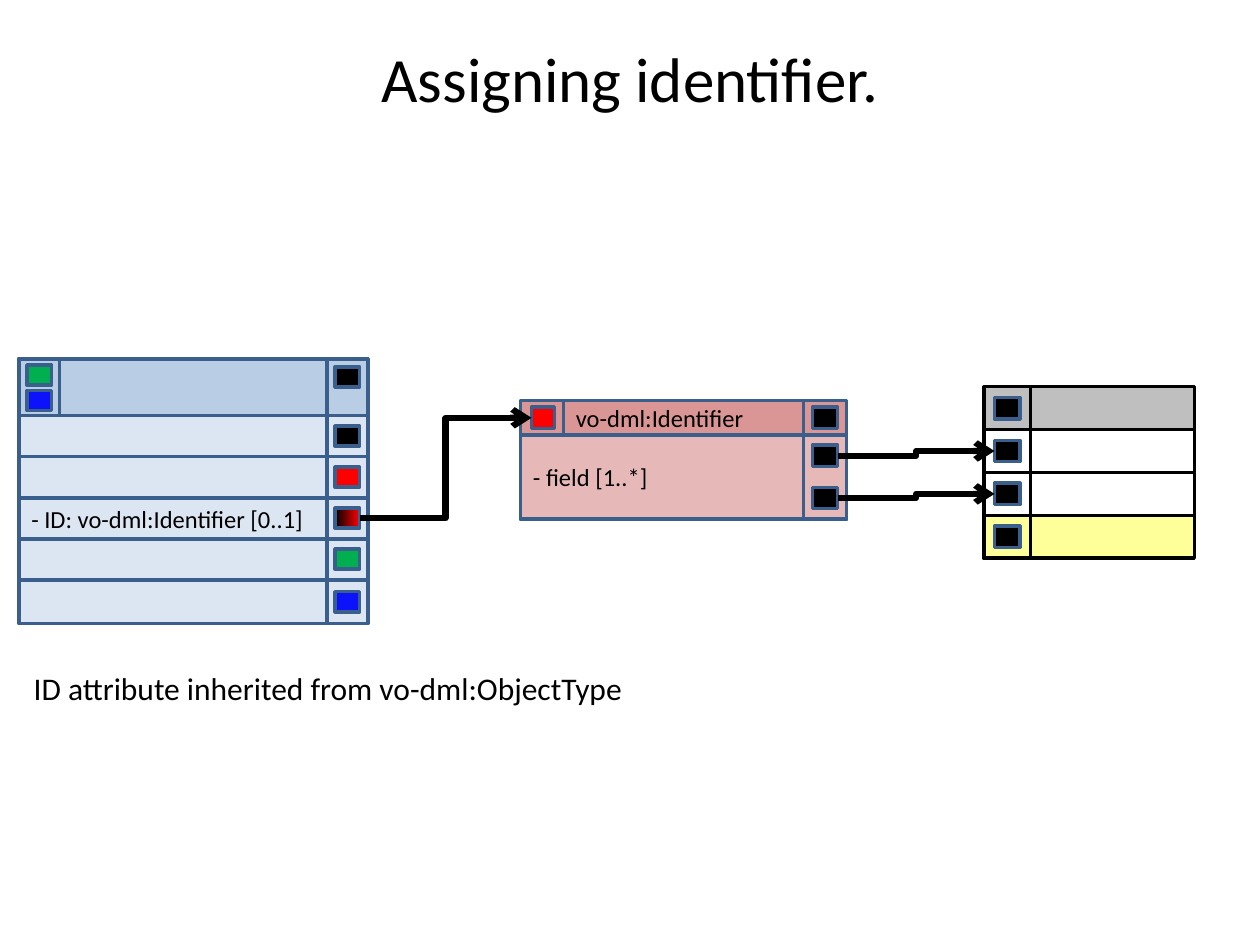
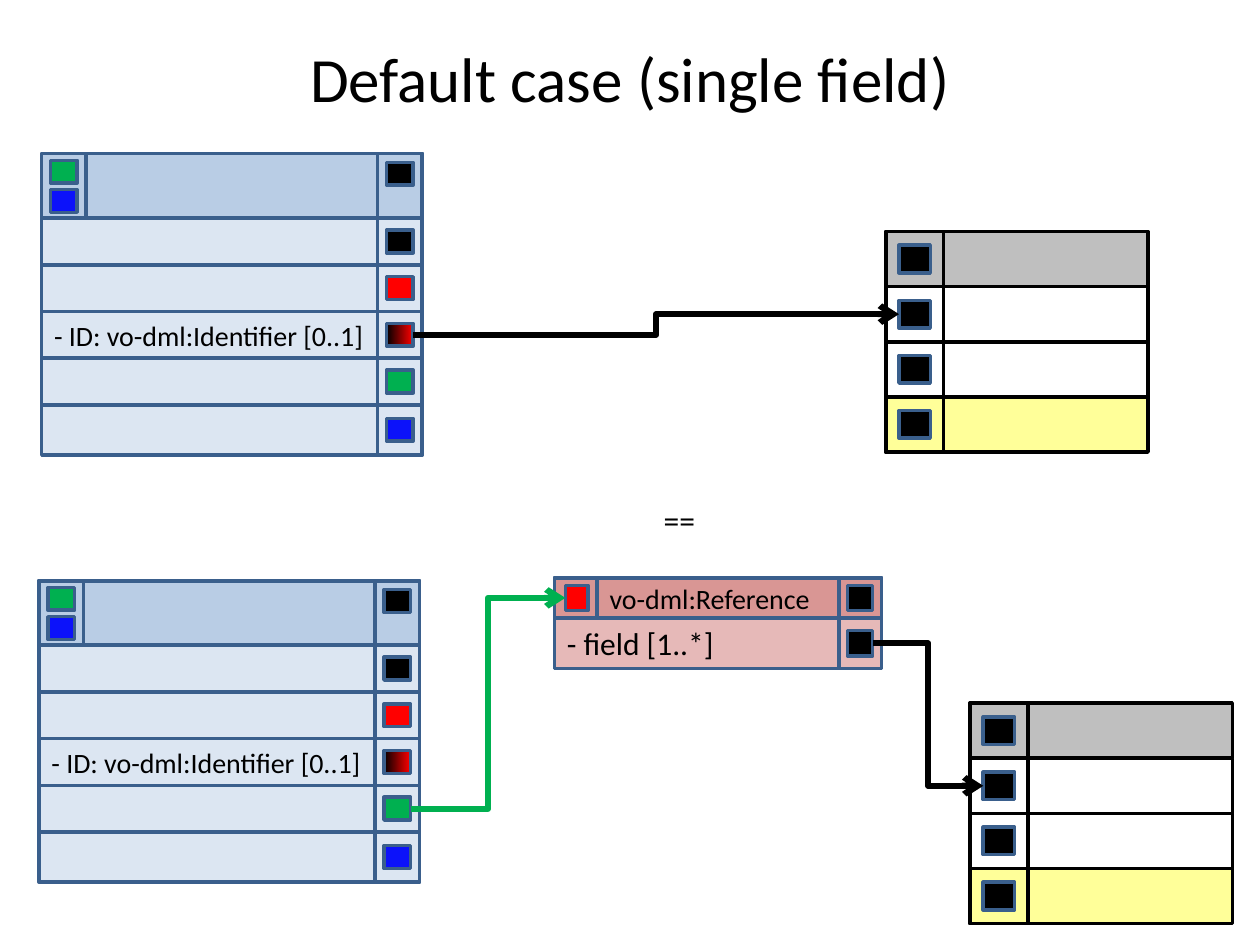
from collections import namedtuple
from dataclasses import dataclass

from lxml.etree import SubElement
from pptx import Presentation
from pptx.dml.color import RGBColor
from pptx.enum.shapes import MSO_CONNECTOR, MSO_SHAPE
from pptx.enum.text import MSO_ANCHOR, MSO_AUTO_SIZE, PP_ALIGN
from pptx.oxml.ns import qn
from pptx.util import Pt

Box = namedtuple("Box", "x y w h")
LEFT, RIGHT = 1, 3  # connection sites of a rectangle


@dataclass(frozen=True)
class Theme:
    font: str = "Calibri"
    title_size: int = 36
    note_size: int = 18
    black: str = "000000"
    red: str = "FF0000"
    green: str = "00B050"
    blue: str = "0C12FA"
    edge: str = "3A5F8C"
    object_head: str = "B9CDE5"
    object_body: str = "DCE6F2"
    mapping_head: str = "D99694"
    mapping_body: str = "E6B9B8"
    table_head: str = "BFBFBF"
    table_foot: str = "FFFF99"
    edge_width: float = 2
    arrow_width: float = 3.5


T = Theme()


def rgb(color):
    return RGBColor.from_string(color)


def style_text(tf, text, size, align=PP_ALIGN.LEFT):
    p = tf.paragraphs[0]
    p.text = text
    p.alignment = align
    p.font.name = T.font
    p.font.size = Pt(size)
    p.font.color.rgb = rgb(T.black)


def add_rect(shapes, box, fill=None, edge=T.edge, text=None, size=None):
    """Add a rectangle; a pair of colours as fill makes a gradient."""
    sp = shapes.add_shape(MSO_SHAPE.RECTANGLE, *map(Pt, box))
    sp.shadow.inherit = False
    sp.line.color.rgb = rgb(edge)
    sp.line.width = Pt(T.edge_width)
    if fill is None:
        sp.fill.background()
    elif isinstance(fill, tuple):
        sp.fill.gradient()
        sp.fill.gradient_angle = 0
        for stop, color, position in zip(sp.fill.gradient_stops, fill, (0, 1)):
            stop.color.rgb = rgb(color)
            stop.position = position
    else:
        sp.fill.solid()
        sp.fill.fore_color.rgb = rgb(fill)
    if text:
        sp.text_frame.vertical_anchor = MSO_ANCHOR.MIDDLE
        style_text(sp.text_frame, text, size)
    return sp


def add_marker(shapes, cx, cy, w, h, fill=T.black):
    """Add a small square centred on (cx, cy)."""
    return add_rect(shapes, Box(cx - w / 2, cy - h / 2, w, h), fill)


def add_object(slide, box, size):
    """Draw an object type; return its attribute markers, top to bottom."""
    shapes = slide.shapes.add_group_shape().shapes
    x, y, w, h = box
    head, row, col = 0.214 * h, 0.155 * h, 0.117 * w
    mark = (0.07 * w, 0.076 * h)
    right = x + w - col / 2
    row_tops = [y + head + i * row for i in range(5)]
    row_ends = row_tops[1:] + [y + h]

    add_rect(shapes, box, T.object_body)
    add_rect(shapes, Box(x, y, w, head), T.object_head)
    for i, top in enumerate(row_tops[:4]):
        text = "- ID: vo-dml:Identifier [0..1]" if i == 2 else None
        add_rect(shapes, Box(x, top, w, row), text=text, size=size)
    add_rect(shapes, Box(x + w - col, y, col, h))
    add_rect(shapes, Box(x, y, col, head))

    add_marker(shapes, right, y + 0.067 * h, *mark)
    for share, color in ((0.06, T.green), (0.157, T.blue)):
        add_marker(shapes, x + col / 2, y + share * h, *mark, color)
    fills = (T.black, T.red, (T.black, T.red), T.green, T.blue)
    return [add_marker(shapes, right, (top + end) / 2, *mark, fill)
            for top, end, fill in zip(row_tops, row_ends, fills)]


def add_mapping(slide, box, head, mark_h, name, name_size, field_size, fields):
    """Draw a mapping; return its entry marker and its field markers."""
    shapes = slide.shapes.add_group_shape().shapes
    x, y, w, h = box
    col, mark_w = 24.5, 14.4
    right, mid = x + w - col / 2, y + head / 2
    body = h - head

    add_rect(shapes, box, T.mapping_body)
    add_rect(shapes, Box(x + col, y, w - col, head), T.mapping_head,
             text=name, size=name_size)
    add_rect(shapes, Box(x, y + head, w, body),
             text="- field [1..*]", size=field_size)
    add_rect(shapes, Box(x + w - col, y, col, h))
    add_rect(shapes, Box(x, y, col, head), T.mapping_head)

    entry = add_marker(shapes, x + col / 2 + 0.5, mid, 13, mark_h, T.red)
    add_marker(shapes, right, mid, mark_w, mark_h)
    return entry, [
        add_marker(shapes, right, y + head + (i + 0.5) * body / fields,
                   mark_w, mark_h)
        for i in range(fields)]


def add_data_table(slide, box):
    """Draw a data table; return its row markers, top to bottom."""
    shapes = slide.shapes.add_group_shape().shapes
    x, y, w, h = box
    row, col = h / 4, 0.22 * w
    for i, fill in enumerate((T.table_head, None, None, T.table_foot)):
        add_rect(shapes, Box(x, y + i * row, w, row), fill, T.black)
    add_rect(shapes, Box(x, y, col, h), edge=T.black)
    return [add_marker(shapes, x + col / 2, y + (i + 0.5) * row,
                       0.12 * w, 0.125 * h)
            for i in range(4)]


def add_arrow(slide, source, target, color=T.black):
    cxn = slide.shapes.add_connector(
        MSO_CONNECTOR.ELBOW,
        source.left + source.width, source.top + source.height // 2,
        target.left, target.top + target.height // 2)
    cxn.begin_connect(source, RIGHT)
    cxn.end_connect(target, LEFT)
    cxn.line.color.rgb = rgb(color)
    cxn.line.width = Pt(T.arrow_width)
    SubElement(cxn.line._get_or_add_ln(), qn("a:tailEnd"), type="arrow")
    SubElement(cxn._element.spPr, qn("a:effectLst"))


def add_title(slide, text):
    tf = slide.shapes.add_textbox(*map(Pt, (36, 21.6, 648, 44.6))).text_frame
    tf.word_wrap = True
    tf.vertical_anchor = MSO_ANCHOR.MIDDLE
    style_text(tf, text, T.title_size, PP_ALIGN.CENTER)


def add_note(slide, box, text):
    tf = slide.shapes.add_textbox(*map(Pt, box)).text_frame
    tf.word_wrap = False
    tf.auto_size = MSO_AUTO_SIZE.SHAPE_TO_FIT_TEXT
    style_text(tf, text, T.note_size)


def build_identifier_slide(slide):
    add_title(slide, "Assigning identifier.")
    attributes = add_object(slide, Box(10.8, 205.2, 199.4, 151.2), 14)
    rows = add_data_table(slide, Box(562.3, 221, 120.2, 98))
    entry, fields = add_mapping(
        slide, Box(297.5, 229, 186.3, 67.7), 19.5, 12.2,
        "vo-dml:Identifier", 14, 14, fields=2)
    for field, row in zip(fields, rows[1:]):
        add_arrow(slide, field, row)
    add_arrow(slide, attributes[2], entry)
    add_note(slide, Box(12.2, 378.7, 355, 28.8),
             "ID attribute inherited from vo-dml:ObjectType")


def build_default_slide(slide):
    add_title(slide, "Default case (single field)")
    attributes = add_object(slide, Box(22.3, 331.9, 217.4, 172.1), 16)
    rows = add_data_table(slide, Box(554.4, 401.8, 149.8, 126))
    entry, fields = add_mapping(
        slide, Box(316.8, 330.2, 187, 51.8), 23, 14.4,
        "vo-dml:Reference", 16, 18, fields=1)
    add_arrow(slide, fields[0], rows[1])
    add_arrow(slide, attributes[3], entry, T.green)
    add_note(slide, Box(372.2, 283, 32.4, 28.8), "==")

    attributes = add_object(slide, Box(23.8, 87.8, 217.4, 172.1), 16)
    rows = add_data_table(slide, Box(506.2, 132.3, 149.8, 126))
    add_arrow(slide, attributes[2], rows[1])


def main():
    prs = Presentation()
    prs.slide_width, prs.slide_height = Pt(720), Pt(540)
    for build in (build_identifier_slide, build_default_slide):
        build(prs.slides.add_slide(prs.slide_layouts[6]))
    prs.save("out.pptx")


if __name__ == "__main__":
    main()
